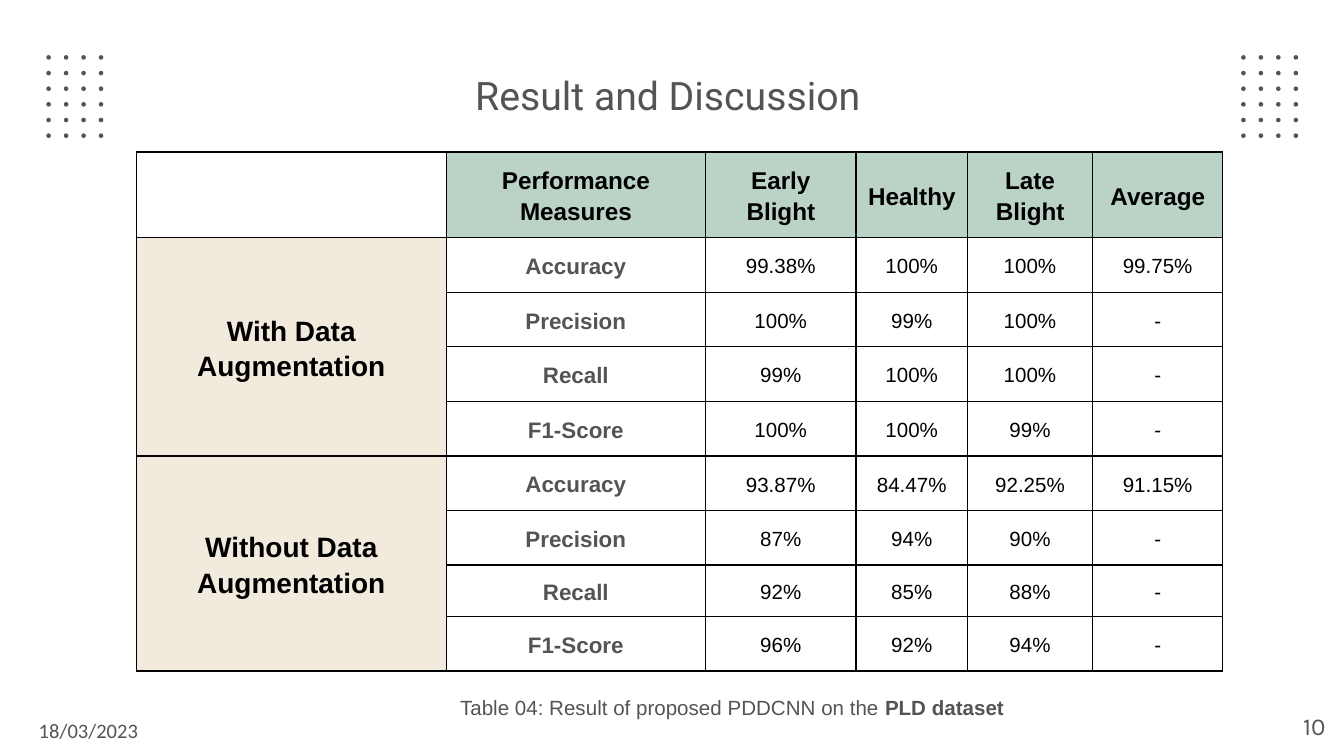
from itertools import product

from lxml import etree
from pptx import Presentation
from pptx.dml.color import RGBColor
from pptx.enum.shapes import MSO_SHAPE
from pptx.enum.text import MSO_ANCHOR, PP_ALIGN
from pptx.oxml.ns import qn
from pptx.util import Inches, Pt

WIDTH = Inches(10)
HEIGHT = WIDTH * 9 // 16
LEFT, CENTER, RIGHT = PP_ALIGN.LEFT, PP_ALIGN.CENTER, PP_ALIGN.RIGHT
TOP, MIDDLE = MSO_ANCHOR.TOP, MSO_ANCHOR.MIDDLE
OVAL = MSO_SHAPE.OVAL
TITLE_ONLY = 5

COLORS = {
    "background": "FFFFFF",
    "gray": "545457",
    "black": "000000",
    "green": "BBD3C7",
    "cream": "F2EADD",
}

COLUMN_SHARES = [23.05, 19.3, 11.2, 8.3, 9.3, 9.7]
ROW_SHARES = [11.25] + [7.22] * 6 + [6.8, 7.22]
HEADINGS = ["Performance Measures", "Early Blight", "Healthy", "Late Blight", "Average"]
GROUPS = {
    "With Data Augmentation": [
        ["Accuracy", "99.38%", "100%", "100%", "99.75%"],
        ["Precision", "100%", "99%", "100%", "-"],
        ["Recall", "99%", "100%", "100%", "-"],
        ["F1-Score", "100%", "100%", "99%", "-"],
    ],
    "Without Data Augmentation": [
        ["Accuracy", "93.87%", "84.47%", "92.25%", "91.15%"],
        ["Precision", "87%", "94%", "90%", "-"],
        ["Recall", "92%", "85%", "88%", "-"],
        ["F1-Score", "96%", "92%", "94%", "-"],
    ],
}


def across(percent):
    return round(WIDTH * percent / 100)


def down(percent):
    return round(HEIGHT * percent / 100)


def area(left, top, width, height):
    return across(left), down(top), across(width), down(height)


def color(name):
    return RGBColor.from_string(COLORS[name])


def write(frame, text, size=11, font="Arial", ink="gray", bold=False,
          align=LEFT, spacing=None, bold_tail=""):
    para = frame.paragraphs[0]
    para.alignment = align
    para.line_spacing = spacing
    for words, heavy in ((text, bold), (bold_tail, True)):
        if words:
            span = para.add_run()
            span.text = words
            span.font.size = Pt(size)
            span.font.name = font
            span.font.bold = heavy
            span.font.color.rgb = color(ink)


def prepare_frame(frame, top=0.1, anchor=TOP):
    frame.word_wrap = True
    frame.vertical_anchor = anchor
    frame.margin_left = frame.margin_right = frame.margin_bottom = Inches(0.1)
    frame.margin_top = Inches(top)


def add_title(page, text):
    title = page.shapes.title
    title.left, title.top, title.width, title.height = area(7.9, 7.15, 84.3, 11.2)
    prepare_frame(title.text_frame, top=0.07, anchor=MIDDLE)
    write(title.text_frame, text, size=21, font="Roboto", align=CENTER)


def add_label(page, place, text, **style):
    box = page.shapes.add_textbox(*area(*place))
    prepare_frame(box.text_frame)
    write(box.text_frame, text, **style)


def add_dots(page, left):
    for row, column in product(range(6), range(4)):
        place = area(left + 1.3 * column, 7.3 + 2.07 * row, 0.34, 0.6)
        dot = page.shapes.add_shape(OVAL, *place)
        dot.shadow.inherit = False
        dot.fill.solid()
        dot.fill.fore_color.rgb = color("gray")
        dot.line.fill.background()


def draw_borders(cell):
    properties = cell._tc.get_or_add_tcPr()
    for side in ("a:lnL", "a:lnR", "a:lnT", "a:lnB"):
        line = etree.SubElement(properties, qn(side), w=str(Pt(0.75)))
        fill = etree.SubElement(line, qn("a:solidFill"))
        etree.SubElement(fill, qn("a:srgbClr"), val=COLORS["black"])


def fill_cell(cell, text, fill=None, **style):
    if fill:
        cell.fill.solid()
        cell.fill.fore_color.rgb = color(fill)
    cell.vertical_anchor = MIDDLE
    write(cell.text_frame, text, align=CENTER, spacing=1.15, **style)


def add_results(page):
    place = area(10.15, 20.1, sum(COLUMN_SHARES), sum(ROW_SHARES))
    table = page.shapes.add_table(len(ROW_SHARES), len(COLUMN_SHARES), *place).table
    table.first_row = table.horz_banding = False
    for column, share in zip(table.columns, COLUMN_SHARES):
        column.width = across(share)
    for row, share in zip(table.rows, ROW_SHARES):
        row.height = down(share)
    for cell in table.iter_cells():
        draw_borders(cell)
        cell.fill.background()
        cell.margin_left = cell.margin_right = Inches(0.07)
        cell.margin_top = cell.margin_bottom = Inches(0.07)

    for column, heading in enumerate(HEADINGS, 1):
        fill_cell(table.cell(0, column), heading, fill="green", size=13, ink="black", bold=True)
    first = 1
    for group, records in GROUPS.items():
        last = first + len(records) - 1
        table.cell(first, 0).merge(table.cell(last, 0))
        fill_cell(table.cell(first, 0), group, fill="cream", size=15, ink="black", bold=True)
        for row, (measure, *values) in enumerate(records, first):
            fill_cell(table.cell(row, 1), measure, size=12, bold=True)
            for column, value in enumerate(values, 2):
                fill_cell(table.cell(row, column), value, ink="black")
        first = last + 1


def main():
    deck = Presentation()
    deck.slide_width, deck.slide_height = WIDTH, HEIGHT
    page = deck.slides.add_slide(deck.slide_layouts[TITLE_ONLY])
    page.background.fill.solid()
    page.background.fill.fore_color.rgb = color("background")

    add_label(page, (1.9, 93.35, 19.6, 6.94), "18/03/2023", font="Calibri")
    for left in (3.45, 92.35):
        add_dots(page, left)
    add_title(page, "Result and Discussion ")
    add_label(page, (93.6, 92.3, 6, 7.65), "10", size=13, font="Karla", align=RIGHT)
    add_results(page)
    add_label(page, (33.25, 90.35, 48.4, 6.94),
              "Table 04: Result of proposed PDDCNN on the", bold_tail=" PLD dataset")
    deck.save("out.pptx")


if __name__ == "__main__":
    main()
